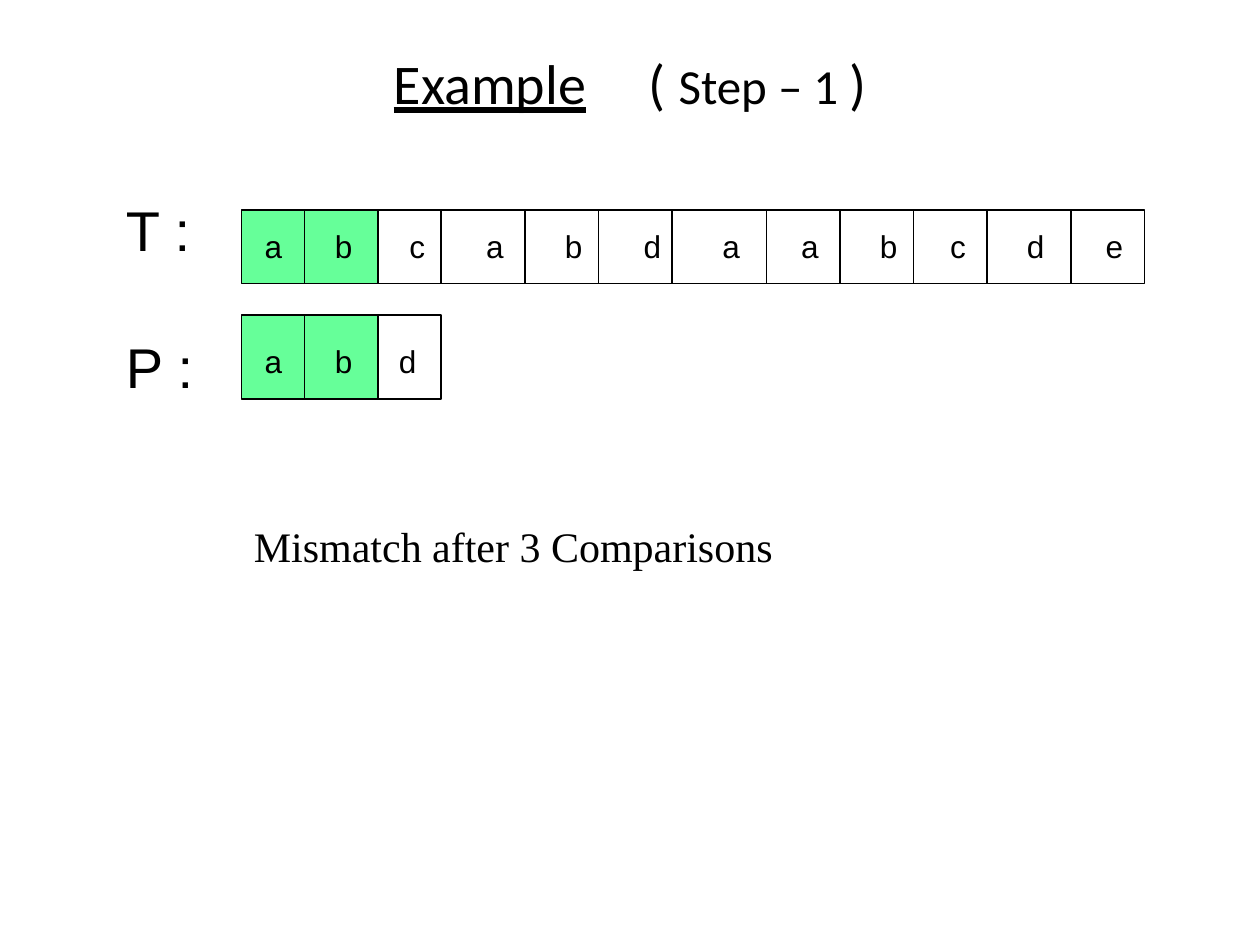
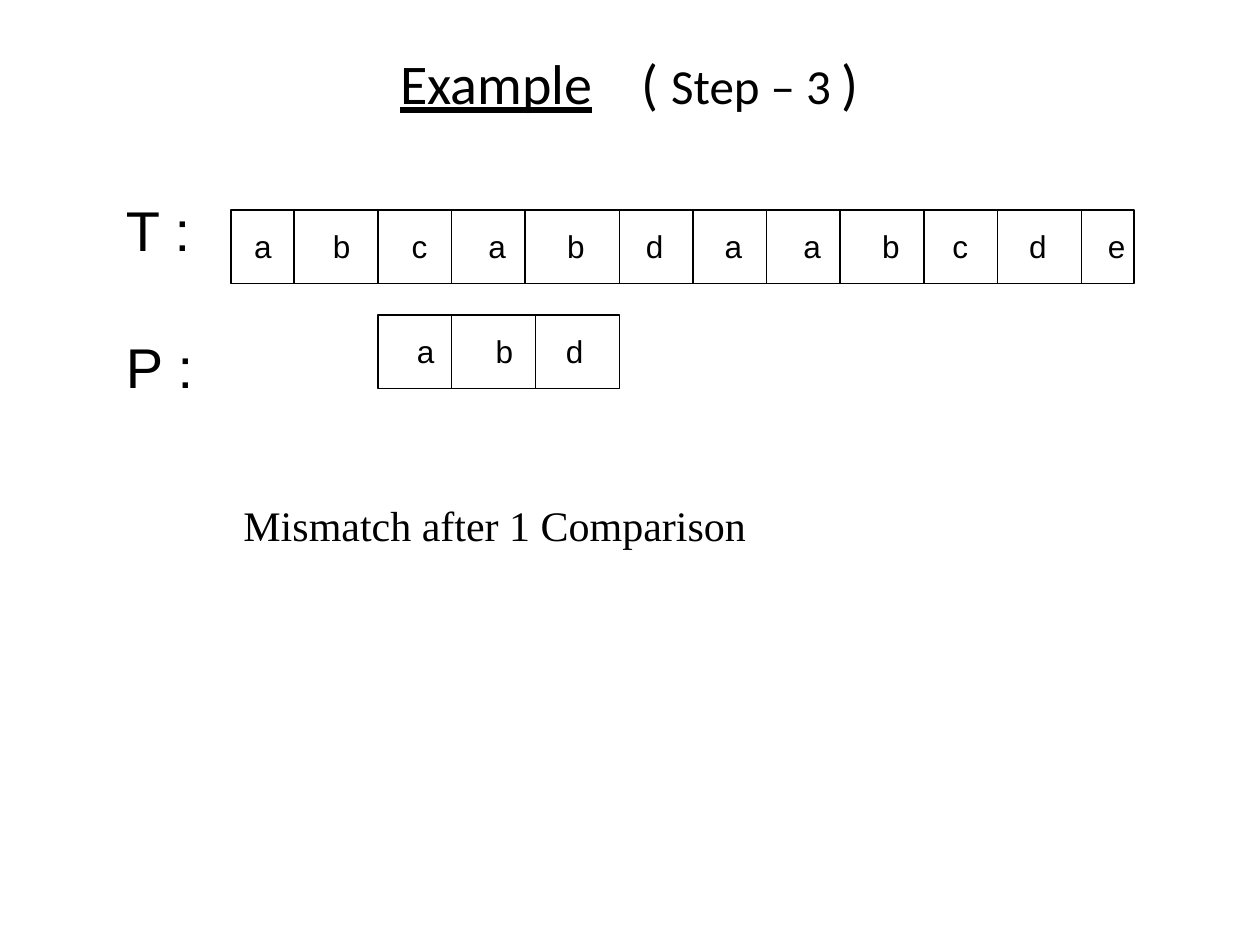
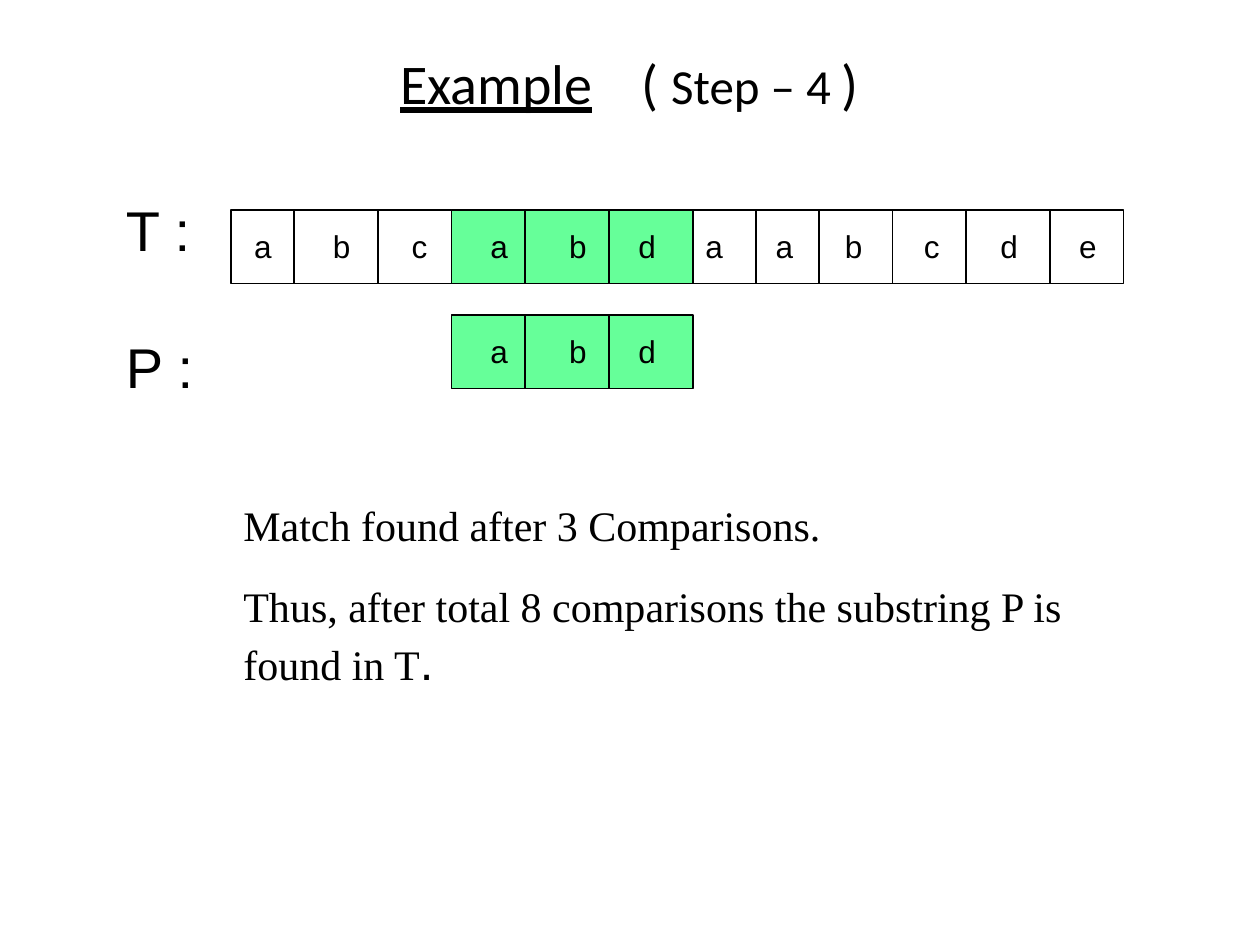
from dataclasses import dataclass

from lxml import etree
from pptx import Presentation
from pptx.dml.color import RGBColor
from pptx.enum.shapes import MSO_CONNECTOR, MSO_SHAPE
from pptx.enum.text import MSO_ANCHOR
from pptx.oxml.ns import qn
from pptx.util import Pt

RECTANGLE = MSO_SHAPE.RECTANGLE
STRAIGHT = MSO_CONNECTOR.STRAIGHT
MIDDLE = MSO_ANCHOR.MIDDLE

EMU_PER_PX = 7620
BLANK_LAYOUT = 6
BLACK = "000000"
MATCH_GREEN = "66FF99"
TITLE_FONT = "Calibri"
LETTER_FONT = "Arial"
REMARK_FONT = "Times New Roman"
TITLE_LEFT = 60
INSET_X, INSET_Y = 12, 6
TEXT_TOP, PATTERN_TOP = 200, 300


@dataclass(frozen=True)
class Strip:
    """A row of cells: edges bound the cells, starts place the letters."""
    letters: str
    top: int
    edges: tuple[int, ...]
    starts: tuple[int, ...]
    fill: str | None = None
    height: int = 70
    letter_drop: int = 10


@dataclass(frozen=True)
class Remark:
    """The comment below the strips; tail is a larger closing mark."""
    left: int
    top: int
    width: int
    height: int
    lines: tuple[str, ...]
    tail: str = ""


@dataclass(frozen=True)
class Step:
    """One step of the string search."""
    number: int
    title_start: int
    step_start: int
    strips: tuple[Strip, ...]
    remark: Remark


MATCH_EDGES, MATCH_STARTS = (430, 500, 580, 660), (467, 542, 608)
PREFIX_EDGES, PREFIX_STARTS = (230, 290, 360), (252, 319)

STEPS = (
    Step(1, 375, 618, (
        Strip("cabdaabcde", TEXT_TOP,
              (360, 420, 500, 570, 640, 730, 800, 870, 940, 1020, 1090),
              (390, 463, 538, 613, 688, 763, 838, 905, 978, 1053)),
        Strip("ab", PATTERN_TOP, PREFIX_EDGES, PREFIX_STARTS, MATCH_GREEN, 80, 20),
        Strip("d", PATTERN_TOP, (360, 420), (380,), None, 80, 20),
        Strip("ab", TEXT_TOP, PREFIX_EDGES, PREFIX_STARTS, MATCH_GREEN),
    ), Remark(230, 490, 810, 60, ("Mismatch after 3 Comparisons",))),
    Step(3, 381, 611, (
        Strip("abcabdaabcde", TEXT_TOP,
              (220, 280, 360, 430, 500, 590, 660, 730, 800, 880, 950, 1030, 1080),
              (242, 317, 392, 465, 540, 615, 690, 765, 840, 907, 980, 1055)),
        Strip("abd", PATTERN_TOP, (360, 430, 510, 590), (397, 472, 539)),
    ), Remark(220, 470, 810, 60, ("Mismatch after 1 Comparison",))),
    Step(4, 381, 611, (
        Strip("abc", TEXT_TOP, (220, 280, 360, 430), (242, 317, 392)),
        Strip("abd", PATTERN_TOP, MATCH_EDGES, MATCH_STARTS, MATCH_GREEN),
        Strip("abd", TEXT_TOP, MATCH_EDGES, MATCH_STARTS, MATCH_GREEN),
        Strip("aabcde", TEXT_TOP, (660, 720, 780, 850, 920, 1000, 1070),
              (672, 739, 805, 880, 953, 1028)),
    ), Remark(220, 470, 830, 278, (
        "Match found after 3 Comparisons.",
        "Thus, after total 8 comparisons the substring P is found in T",
    ), ".")),
)


def px(length: int) -> int:
    """Turn px into EMU."""
    return length * EMU_PER_PX


def color(value: str) -> RGBColor:
    """Turn a hex string into a colour."""
    return RGBColor.from_string(value)


def style(paragraph, name: str, size: int) -> None:
    """Set the font of a whole paragraph."""
    paragraph.font.name = name
    paragraph.font.size = Pt(size)
    paragraph.font.color.rgb = color(BLACK)


def set_tabs(paragraph, stops: list[int]) -> None:
    """Give a paragraph left tab stops, measured from the text edge."""
    tab_list = etree.Element(qn("a:tabLst"))
    for stop in stops:
        etree.SubElement(tab_list, qn("a:tab"), pos=str(px(stop)), algn="l")
    paragraph._p.get_or_add_pPr().insert(0, tab_list)


def add_text_frame(page, left: int, top: int, width: int, height: int, inset: int = INSET_X):
    """Add a wrapping text box and return its text frame."""
    box = page.shapes.add_textbox(px(left), px(top), px(width), px(height))
    frame = box.text_frame
    frame.word_wrap = True
    frame.margin_left = px(inset)
    frame.margin_right = 0
    frame.margin_top = frame.margin_bottom = px(INSET_Y)
    return frame


def add_divider(page, x: int, top: int, bottom: int) -> None:
    """Draw a vertical line between two cells."""
    line = page.shapes.add_connector(STRAIGHT, px(x), px(top), px(x), px(bottom))
    line.line.color.rgb = color(BLACK)
    line.line.width = Pt(0.75)
    etree.SubElement(line._element.spPr, qn("a:effectLst"))


def add_strip(page, strip: Strip) -> None:
    """Draw a strip with its dividers and letters."""
    left, *dividers, right = strip.edges
    frame_shape = page.shapes.add_shape(
        RECTANGLE, px(left), px(strip.top), px(right - left), px(strip.height))
    frame_shape.shadow.inherit = False
    frame_shape.line.color.rgb = color(BLACK)
    frame_shape.line.width = Pt(0.75)
    if strip.fill:
        frame_shape.fill.solid()
        frame_shape.fill.fore_color.rgb = color(strip.fill)
    else:
        frame_shape.fill.background()
    for x in dividers:
        add_divider(page, x, strip.top, strip.top + strip.height)

    first, *others = strip.starts
    frame = add_text_frame(
        page, left, strip.top + strip.letter_drop, right - left, 48, first - left)
    para = frame.paragraphs[0]
    para.text = "\t".join(strip.letters)
    style(para, LETTER_FONT, 18)
    set_tabs(para, [start - first for start in others])


def add_title(page, step: Step) -> None:
    """Write the underlined heading and the step number."""
    frame = add_text_frame(page, TITLE_LEFT, 36, 1080, 84, step.title_start - TITLE_LEFT)
    frame.vertical_anchor = MIDDLE
    para = frame.paragraphs[0]
    style(para, TITLE_FONT, 32)
    set_tabs(para, [step.step_start - step.title_start])
    spans = []
    for text in ("Example", "\t( ", f"Step – {step.number} ", ")"):
        span = para.add_run()
        span.text = text
        spans.append(span)
    spans[0].font.underline = True
    spans[2].font.size = Pt(28)


def add_row_labels(page) -> None:
    """Name the text row and the pattern row."""
    frame = add_text_frame(page, 108, 180, 92, 204)
    text_label, pattern_label = frame.paragraphs[0], frame.add_paragraph()
    text_label.text, pattern_label.text = "T :", "P :"
    for para in (text_label, pattern_label):
        style(para, LETTER_FONT, 32)
    pattern_label.space_before = Pt(40)


def add_remark(page, remark: Remark) -> None:
    """Write the outcome of the step."""
    frame = add_text_frame(page, remark.left, remark.top, remark.width, remark.height)
    for index, line in enumerate(remark.lines):
        para = frame.add_paragraph() if index else frame.paragraphs[0]
        para.text = line
        style(para, REMARK_FONT, 24)
        if index:
            para.space_before = Pt(17.5)
    if remark.tail:
        span = para.add_run()
        span.text = remark.tail
        span.font.name = LETTER_FONT
        span.font.size = Pt(28)


def main() -> None:
    """Build the deck, one page per step."""
    deck = Presentation()
    deck.slide_width, deck.slide_height = px(1200), px(900)
    for step in STEPS:
        page = deck.slides.add_slide(deck.slide_layouts[BLANK_LAYOUT])
        add_title(page, step)
        add_row_labels(page)
        for strip in step.strips:
            add_strip(page, strip)
        add_remark(page, step.remark)
    deck.save("out.pptx")


if __name__ == "__main__":
    main()
